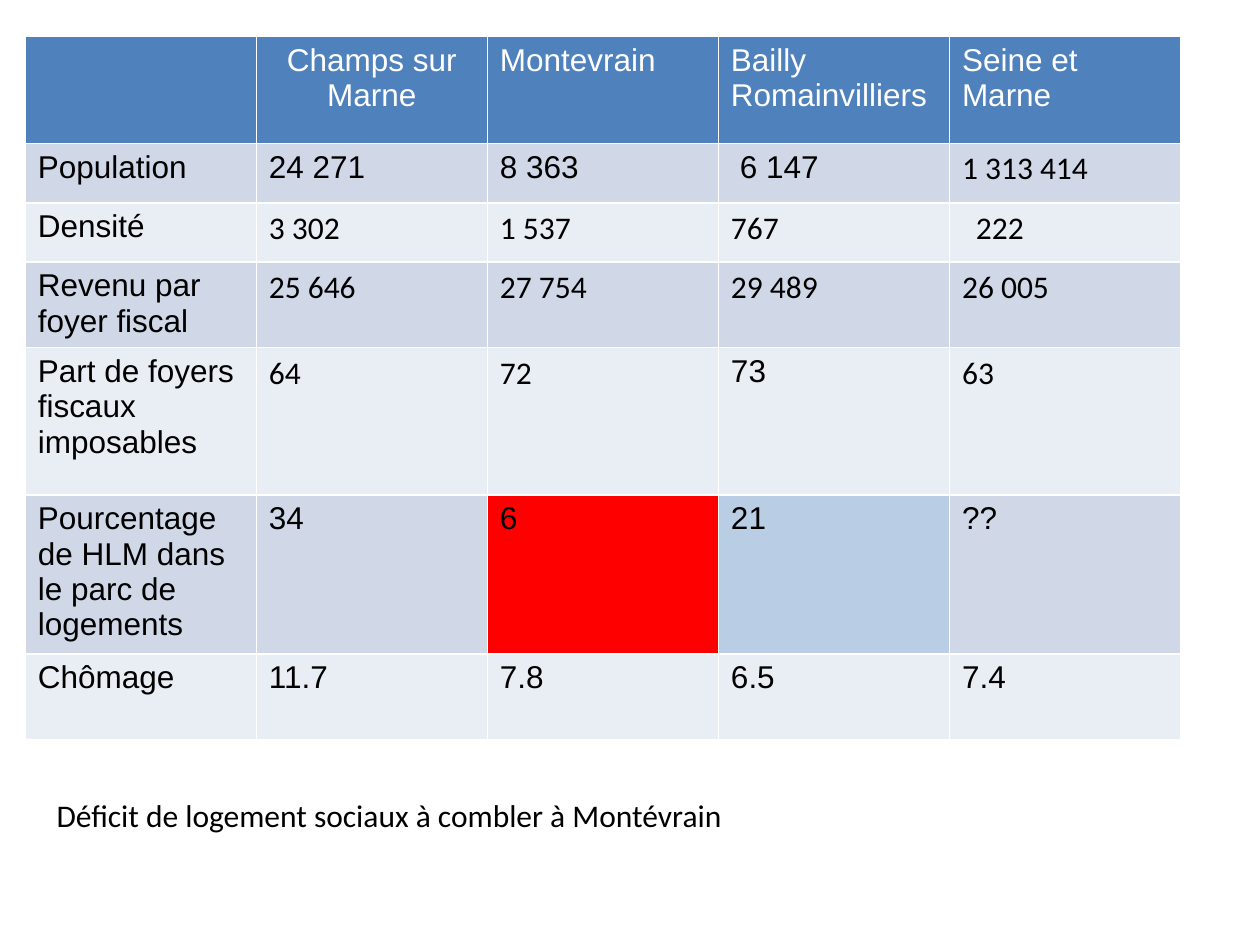
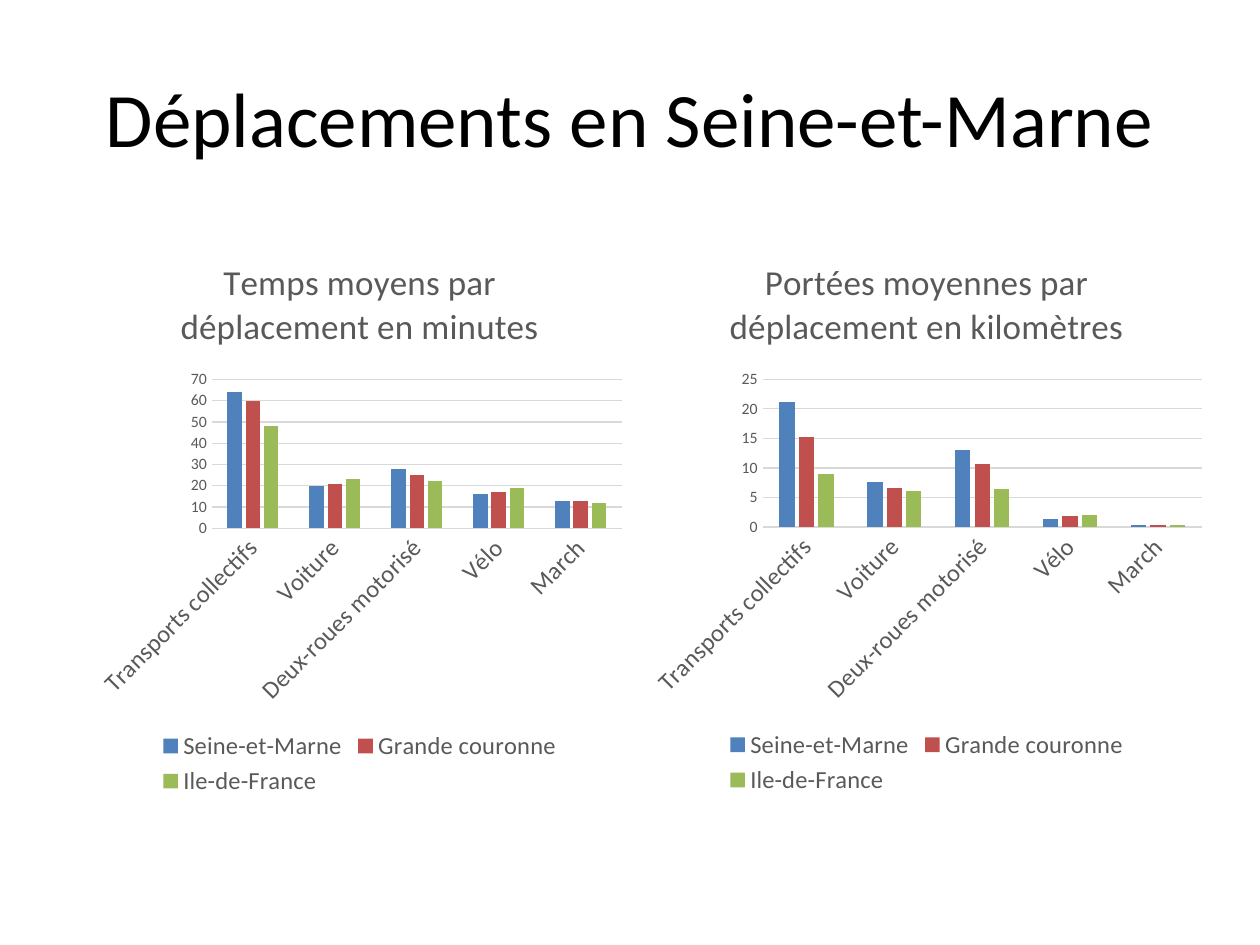
from dataclasses import dataclass, field

from lxml.etree import SubElement
from pptx import Presentation
from pptx.chart.data import CategoryChartData
from pptx.dml.color import RGBColor
from pptx.enum.chart import XL_CHART_TYPE as ChartType
from pptx.enum.chart import XL_LEGEND_POSITION as LegendPosition
from pptx.enum.chart import XL_TICK_MARK as TickMark
from pptx.enum.text import MSO_ANCHOR as Anchor
from pptx.enum.text import MSO_AUTO_SIZE as AutoSize
from pptx.enum.text import PP_ALIGN as Align
from pptx.oxml.ns import qn
from pptx.slide import Slide
from pptx.table import _Cell as Cell
from pptx.text.text import Font
from pptx.util import Inches, Pt


@dataclass(frozen=True)
class Theme:
    black: str = "000000"
    white: str = "FFFFFF"
    header: str = "4F81BD"
    bands: tuple[str, str] = ("D0D8E8", "E9EDF4")
    alert: str = "FF0000"
    highlight: str = "B9CDE5"
    chart_text: str = "595959"
    chart_line: str = "D9D9D9"
    series: tuple[str, ...] = ("4F81BD", "C0504D", "9BBB59")
    sans: str = "Arial"
    body: str = "Calibri"
    title_size: float = 44
    chart_title_size: float = 20
    text_size: float = 18
    label_size: float = 14
    chart_size: float = 10
    scale_size: float = 9
    border: float = 1
    axis_line: float = 0.75


@dataclass(frozen=True)
class Indicator:
    label: str
    values: tuple[str, ...]
    height: float
    body_font_columns: tuple[int, ...] = ()
    fills: dict[int, str] = field(default_factory=dict)
    indents: dict[int, float] = field(default_factory=dict)


@dataclass(frozen=True)
class TravelChart:
    title: str
    left: float
    width: float
    height: float
    scale_max: float
    scale_step: float
    values: tuple[tuple[float, ...], ...]


THEME = Theme()
TOWNS = ("Champs sur Marne", "Montevrain", "Bailly Romainvilliers", "Seine et Marne")
HEADER_HEIGHT = 0.85
CELL_MARGIN = 0.1
INDICATORS = (
    Indicator("Population", ("24 271", "8 363", "6 147", "1 313 414"), 0.47, (4,),
              indents={3: 0.07}),
    Indicator("Densité", ("3 302", "1 537", "767", "222"), 0.47, (1, 2, 3, 4),
              indents={4: 0.11}),
    Indicator("Revenu par foyer fiscal", ("25 646", "27 754", "29 489", "26 005"),
              0.68, (1, 2, 3, 4)),
    Indicator("Part de foyers fiscaux imposables", ("64", "72", "73", "63"),
              1.17, (1, 2, 4)),
    Indicator("Pourcentage de HLM dans le parc de logements", ("34", "6", "21", "??"),
              1.26, fills={2: THEME.alert, 3: THEME.highlight}),
    Indicator("Chômage", ("11.7", "7.8", "6.5", "7.4"), 0.68),
)
MODES = ("Transports collectifs", "Voiture", "Deux-roues motorisé", "Vélo", "March")
AREAS = ("Seine-et-Marne", "Grande couronne", "Ile-de-France")
TRAVEL_CHARTS = (
    TravelChart("Temps moyens par déplacement en minutes", 0.69, 4.33, 4.51, 70, 10,
                ((64, 20, 28, 16, 13), (60, 21, 25, 17, 13), (48, 23, 22, 19, 12))),
    TravelChart("Portées moyennes par déplacement en kilomètres", 5.08, 4.55, 4.5, 25, 5,
                ((21.2, 7.6, 13.1, 1.4, 0.4), (15.3, 6.6, 10.7, 1.8, 0.4),
                 (9, 6.1, 6.5, 2, 0.4))),
)


def style_font(font: Font, size: float, color: str, name: str = THEME.body) -> None:
    font.size = Pt(size)
    font.name = name
    font.bold = False
    font.color.rgb = RGBColor.from_string(color)


def draw_borders(cell: Cell) -> None:
    properties = cell._tc.get_or_add_tcPr()
    for side in ("a:lnL", "a:lnR", "a:lnT", "a:lnB"):
        border = SubElement(properties, qn(side), w=str(Pt(THEME.border)))
        fill = SubElement(border, qn("a:solidFill"))
        SubElement(fill, qn("a:srgbClr"), val=THEME.white)


def fill_cell(cell: Cell, text: str, fill: str, color: str,
              font_name: str = THEME.sans, indent: float = 0) -> None:
    draw_borders(cell)
    cell.fill.solid()
    cell.fill.fore_color.rgb = RGBColor.from_string(fill)
    cell.margin_left = Inches(CELL_MARGIN + indent)
    cell.text_frame.text = text
    paragraph = cell.text_frame.paragraphs[0]
    style_font(paragraph.font, THEME.text_size, color, font_name)
    for run in paragraph.runs:
        style_font(run.font, THEME.text_size, color, font_name)


def draw_indicators(slide: Slide) -> None:
    headings = ("", *TOWNS)
    heights = (HEADER_HEIGHT, *(indicator.height for indicator in INDICATORS))
    table = slide.shapes.add_table(
        len(heights), len(headings), Inches(0.2), Inches(0.29),
        Inches(9.17), Inches(sum(heights))).table
    for row, height in zip(table.rows, heights):
        row.height = Inches(height)
    for column, heading in enumerate(headings):
        fill_cell(table.cell(0, column), heading, THEME.header, THEME.white)
    table.cell(0, 1).text_frame.paragraphs[0].alignment = Align.CENTER
    for row, indicator in enumerate(INDICATORS, start=1):
        band = THEME.bands[(row - 1) % 2]
        for column, text in enumerate((indicator.label, *indicator.values)):
            font_name = THEME.body if column in indicator.body_font_columns else THEME.sans
            fill_cell(table.cell(row, column), text, indicator.fills.get(column, band),
                      THEME.black, font_name, indicator.indents.get(column, 0))


def draw_conclusion(slide: Slide, text: str) -> None:
    frame = slide.shapes.add_textbox(
        Inches(0.35), Inches(6.27), Inches(5.61), Inches(0.4)).text_frame
    frame.word_wrap = False
    frame.auto_size = AutoSize.SHAPE_TO_FIT_TEXT
    frame.text = text
    style_font(frame.paragraphs[0].runs[0].font, THEME.text_size, THEME.black)


def draw_title(slide: Slide, text: str) -> None:
    title = slide.shapes.title
    title.left, title.top = Inches(0.5), Inches(0.3)
    title.width, title.height = Inches(9), Inches(1.25)
    title.text_frame.text = text
    title.text_frame.vertical_anchor = Anchor.MIDDLE
    paragraph = title.text_frame.paragraphs[0]
    paragraph.alignment = Align.CENTER
    style_font(paragraph.runs[0].font, THEME.title_size, THEME.black)


def draw_travel_chart(slide: Slide, travel: TravelChart) -> None:
    data = CategoryChartData()
    data.categories = MODES
    for area, values in zip(AREAS, travel.values):
        data.add_series(area, values)
    chart = slide.shapes.add_chart(
        ChartType.COLUMN_CLUSTERED, Inches(travel.left), Inches(1.85),
        Inches(travel.width), Inches(travel.height), data).chart
    style_font(chart.font, THEME.chart_size, THEME.black)

    chart.has_title = True
    heading = chart.chart_title
    heading.include_in_layout = False
    heading.text_frame.text = travel.title
    style_font(heading.text_frame.paragraphs[0].runs[0].font,
               THEME.chart_title_size, THEME.chart_text)

    chart.has_legend = True
    chart.legend.position = LegendPosition.BOTTOM
    chart.legend.include_in_layout = False
    style_font(chart.legend.font, THEME.label_size, THEME.chart_text)

    modes, scale = chart.category_axis, chart.value_axis
    for axis, size in ((modes, THEME.label_size), (scale, THEME.scale_size)):
        style_font(axis.tick_labels.font, size, THEME.chart_text)
        axis.major_tick_mark = axis.minor_tick_mark = TickMark.NONE
    modes._element.txPr.find(qn("a:bodyPr")).set("rot", "-2700000")
    scale.minimum_scale = 0
    scale.maximum_scale = travel.scale_max
    scale.major_unit = travel.scale_step
    scale.has_major_gridlines = True
    scale.format.line.fill.background()
    for line in (modes.format.line, scale.major_gridlines.format.line):
        line.width = Pt(THEME.axis_line)
        line.color.rgb = RGBColor.from_string(THEME.chart_line)

    columns = chart.plots[0]
    columns.gap_width = 219
    columns.overlap = -27
    columns.vary_by_categories = False
    for series, color in zip(columns.series, THEME.series):
        series.format.fill.solid()
        series.format.fill.fore_color.rgb = RGBColor.from_string(color)


def main() -> None:
    deck = Presentation()
    deck.slide_width, deck.slide_height = Inches(10), Inches(7.5)
    title_only, blank = deck.slide_layouts[5], deck.slide_layouts[6]

    housing = deck.slides.add_slide(blank)
    draw_indicators(housing)
    draw_conclusion(housing, "Déficit de logement sociaux à combler à Montévrain")

    travel_slide = deck.slides.add_slide(title_only)
    draw_title(travel_slide, "Déplacements en Seine-et-Marne")
    for travel in TRAVEL_CHARTS:
        draw_travel_chart(travel_slide, travel)

    deck.save("out.pptx")


if __name__ == "__main__":
    main()
